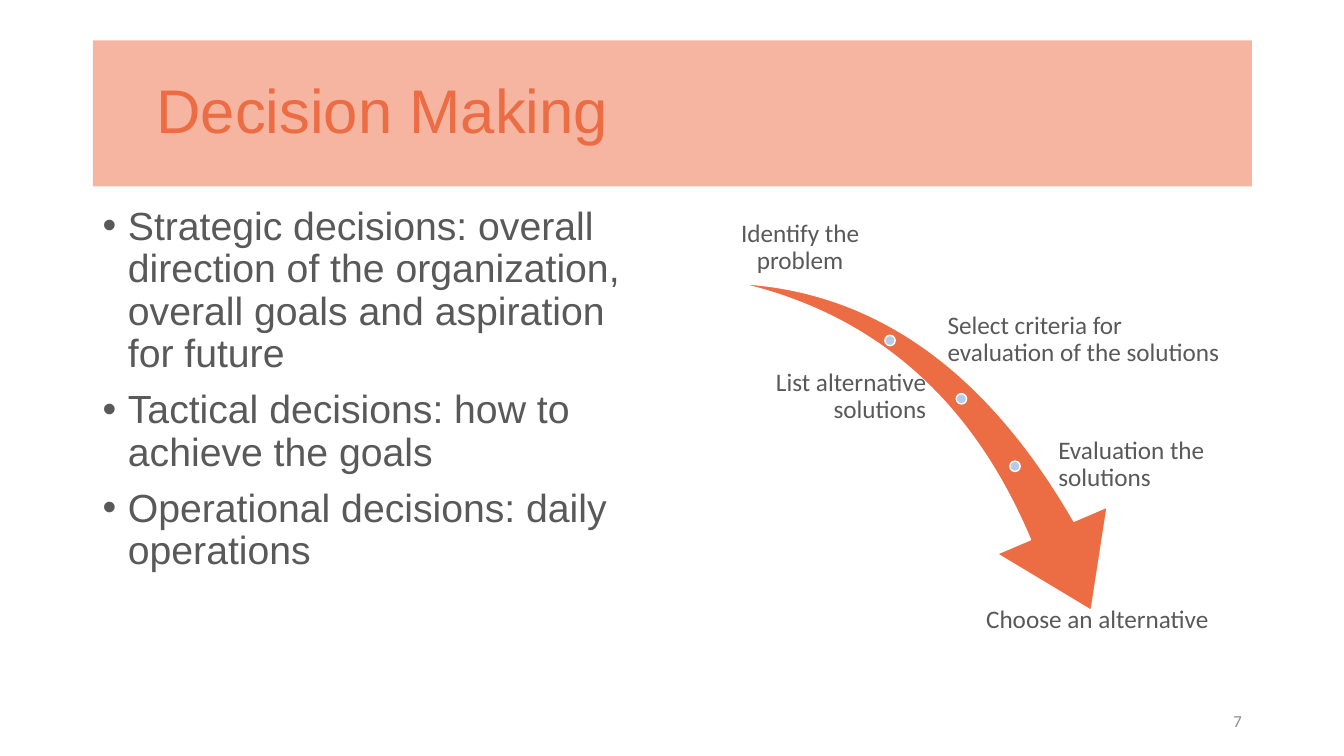
from pptx import Presentation
from pptx import util as u
from pptx.dml.color import RGBColor
from pptx.enum import shapes, text
from pptx.oxml.ns import qn
from lxml import etree

Cm, Pt = u.Cm, u.Pt
COLOURS = {"orange": "EC6C44", "text": "595959", "dot": "B5CBE7", "white": "FFFFFF", "number": "8C8C8C"}
ALIGN, ANCHOR = text.PP_ALIGN, text.MSO_ANCHOR
DECISIONS = [
    "Strategic decisions: overall direction of the organization, overall goals and aspiration for future",
    "Tactical decisions: how to achieve the goals",
    "Operational decisions: daily operations",
]
DOT_SIZE = 0.26
DOTS = [(4.6, 3.37), (6.4, 4.84), (7.75, 6.54)]
LABEL_HEIGHT = 1.93
# wording, left, top, width, alignment, anchor
STEPS = [
    ("Identify the problem", 0, 0, 4.93, ALIGN.CENTER, ANCHOR.BOTTOM),
    ("Select criteria for evaluation of the solutions", 6.1, 2.51, 7.19, ALIGN.LEFT, ANCHOR.MIDDLE),
    ("List alternative solutions", 0, 3.96, 5.72, ALIGN.RIGHT, ANCHOR.MIDDLE),
    ("Evaluation the solutions", 8.89, 5.66, 4.39, ALIGN.LEFT, ANCHOR.MIDDLE),
    ("Choose an alternative", 6.63, 10.13, 6.65, ALIGN.CENTER, ANCHOR.TOP),
]


def rgb(name):
    return RGBColor.from_string(COLOURS[name])


def add_filled(slide, kind, box, fill, line=None):
    shape = slide.shapes.add_shape(kind, *map(Cm, box))
    shape.shadow.inherit = False
    shape.fill.solid()
    shape.fill.fore_color.rgb = rgb(fill)
    if line:
        shape.line.color.rgb = rgb(line)
        shape.line.width = Pt(1)
    else:
        shape.line.fill.background()
    return shape


def add_text(slide, box, lines, size, font="Arial", colour="text", align=ALIGN.LEFT,
             anchor=ANCHOR.TOP, spacing=0.9, inset=None):
    """Place a text box with one paragraph per line and return its paragraphs."""
    frame = slide.shapes.add_textbox(*map(Cm, box)).text_frame
    frame.word_wrap = True
    frame.vertical_anchor = anchor
    if inset is not None:
        frame.margin_left = frame.margin_right = frame.margin_top = frame.margin_bottom = Cm(inset)
    frame.text = "\n".join(lines)
    for paragraph in frame.paragraphs:
        paragraph.alignment = align
        paragraph.line_spacing = spacing
        for run in paragraph.runs:
            run.font.name = font
            run.font.size = Pt(size)
            run.font.color.rgb = rgb(colour)
    return frame.paragraphs


def add_title_band(slide, box, title):
    left, top, width, height = box
    band = add_filled(slide, shapes.MSO_SHAPE.RECTANGLE, box, "orange")
    colour = band.fill._xPr.find(".//" + qn("a:srgbClr"))
    etree.SubElement(colour, qn("a:alpha"), val="50000")
    indent = 1.35
    add_text(slide, (left + indent, top, width - indent, height), [title], 44,
             colour="orange", anchor=ANCHOR.MIDDLE)


def add_bullets(slide, box, lines):
    for paragraph in add_text(slide, box, lines, 28):
        paragraph.space_before = Pt(10)
        properties = paragraph._p.get_or_add_pPr()
        properties.set("marL", str(Cm(0.635)))
        properties.set("indent", str(-Cm(0.635)))
        etree.SubElement(properties, qn("a:buFont"), typeface="Arial")
        etree.SubElement(properties, qn("a:buChar"), char="•")


def add_process(slide, box):
    """Draw the curved arrow with its dots and step labels."""
    left, top = box[:2]
    arrow = add_filled(slide, shapes.MSO_SHAPE.SWOOSH_ARROW,
                       (left + 0.69, top + 2.39, 10.44, 7.26), "orange", "white")
    arrow.adjustments[0] = 0.163
    arrow.adjustments[1] = 0.314
    arrow.rotation = 73.3
    for x, y in DOTS:
        add_filled(slide, shapes.MSO_SHAPE.OVAL,
                   (left + x, top + y, DOT_SIZE, DOT_SIZE), "dot", "white")
    for wording, x, y, width, align, anchor in STEPS:
        add_text(slide, (left + x, top + y, width, LABEL_HEIGHT), [wording], 18, "Calibri",
                 align=align, anchor=anchor, inset=0.08)


def add_slide_number(slide, box, number):
    add_text(slide, box, [number], 12, "Calibri", "number", ALIGN.RIGHT, ANCHOR.MIDDLE, spacing=1.0)


def main():
    presentation = Presentation()
    presentation.slide_width, presentation.slide_height = Cm(33.87), Cm(19.05)
    slide = presentation.slides.add_slide(presentation.slide_layouts[6])
    add_title_band(slide, (2.34, 1.02, 29.21, 3.68), "Decision Making")
    add_bullets(slide, (2.34, 5.08, 14.4, 12.09), DECISIONS)
    add_process(slide, (17.7, 5.08, 13.28, 12.07))
    add_slide_number(slide, (23.93, 17.65, 7.62, 1.02), "7")
    presentation.save("out.pptx")


if __name__ == "__main__":
    main()
